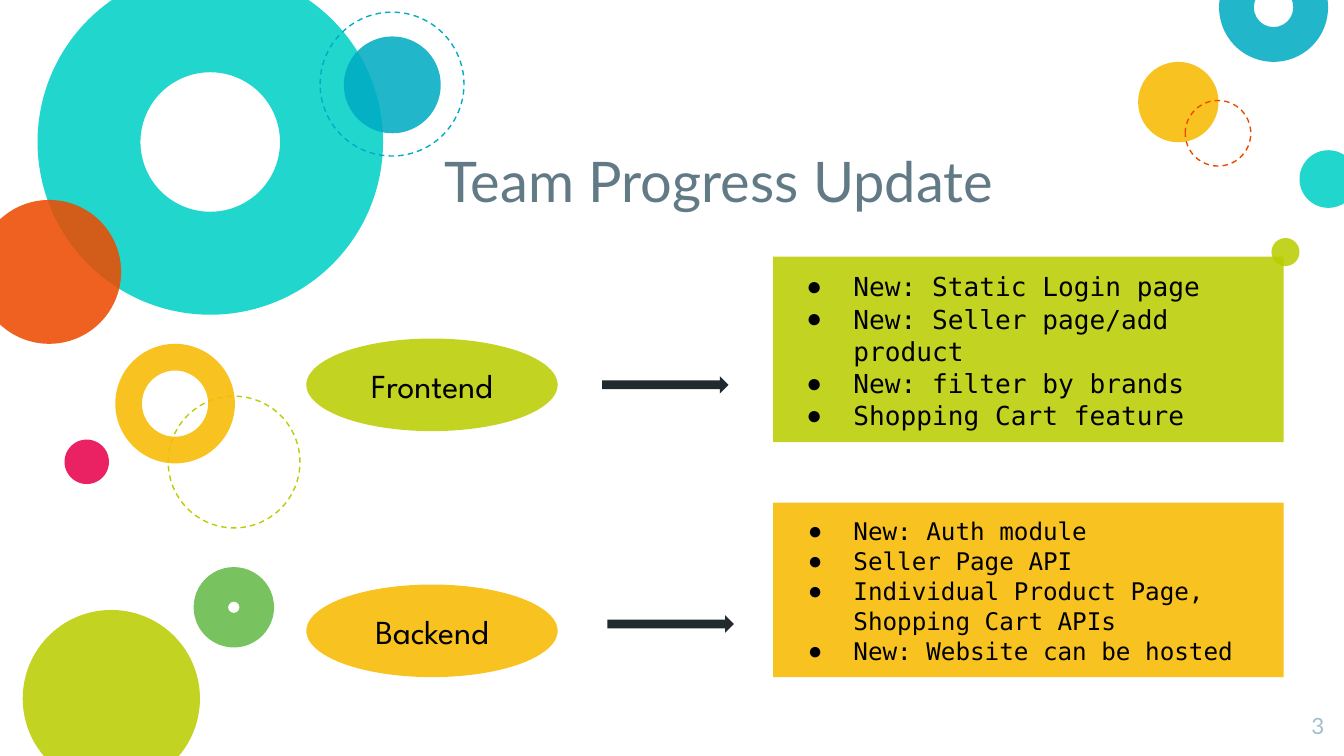
from lxml import etree
from pptx import Presentation
from pptx.dml.color import RGBColor
from pptx.enum import dml, shapes, text
from pptx.oxml.ns import qn
from pptx.util import Cm, Pt

TEAL, ORANGE, BLUE, YELLOW, LIME = "00D1C6", "ED4A00", "00ACC3", "F8BB00", "BBCD00"
GREEN, PINK, INK, BLACK = "65BB48", "E8004C", "212A2E", "000000"
INSET = Cm(0.25)


def paint(fill, colour, opacity=87):
    fill.solid()
    fill.fore_color.rgb = RGBColor.from_string(colour)
    if opacity < 100:
        solid = fill._xPr.find(qn("a:solidFill"))
        etree.SubElement(solid[0], qn("a:alpha"), val=str(opacity * 1000))


def write(para, words, font, size, colour):
    span = para.add_run()
    span.text = words
    span.font.name, span.font.size = font, Pt(size)
    span.font.color.rgb = RGBColor.from_string(colour)


deck = Presentation()
deck.slide_width, deck.slide_height = Cm(25.4), Cm(14.29)
page = deck.slides.add_slide(deck.slide_layouts[3])  # title and two lists
title, *lists = page.placeholders

# Decorative circles: left, top, diameter, colour, then ring thickness or "dash"
circles = [
    (3.18, 7.49, 2.49, LIME, "dash"),
    (0.71, -0.58, 6.53, TEAL, 0.298),
    (-0.43, 3.78, 2.72, ORANGE, None),
    (6.5, 0.69, 1.83, BLUE, None),
    (2.18, 6.5, 2.26, YELLOW, 0.223),
    (0.43, 11.53, 3.35, LIME, None),
    (3.66, 10.72, 1.52, GREEN, 0.429),
    (1.22, 8.31, 0.84, PINK, None),
    (21.51, 1.17, 1.52, YELLOW, None),
    (24.56, 2.84, 1.09, TEAL, None),
    (23.04, -0.89, 2.06, BLUE, 0.319),
    (24.03, 4.5, 0.53, LIME, None),
    (6.05, 0.23, 2.72, BLUE, "dash"),
    (22.4, 1.9, 1.24, ORANGE, "dash"),
]
for left, top, diameter, colour, style in circles:
    ring = isinstance(style, float)
    kind = shapes.MSO_SHAPE.DONUT if ring else shapes.MSO_SHAPE.OVAL
    circle = page.shapes.add_shape(kind, Cm(left), Cm(top), Cm(diameter), Cm(diameter))
    circle.shadow.inherit = False
    if ring:
        circle.adjustments[0] = style
    if style == "dash":
        circle.fill.background()
        circle.line.color.rgb = RGBColor.from_string(colour)
        circle.line.width = Pt(0.75)
        circle.line.dash_style = dml.MSO_LINE.DASH
    else:
        paint(circle.fill, colour)
        circle.line.fill.background()

# Title
title.left, title.top, title.width, title.height = Cm(8.15), Cm(2.51), Cm(14.66), Cm(1.78)
frame = title.text_frame
frame.auto_size = text.MSO_AUTO_SIZE.NONE
frame.vertical_anchor = text.MSO_ANCHOR.BOTTOM
frame.paragraphs[0].alignment = text.PP_ALIGN.LEFT
write(frame.paragraphs[0], "Team Progress Update", "Lato", 30, "617A86")

# Slide number
number = page.shapes.add_textbox(Cm(23.98), Cm(13.21), Cm(1.3), Cm(1.09))
number.text_frame.word_wrap = True
number.text_frame.paragraphs[0].alignment = text.PP_ALIGN.RIGHT
write(number.text_frame.paragraphs[0], "3", "Lato", 12, "A1BECC")

# Teams: name, colour, oval top, arrow left and top, list top and height, size, hang, items
teams = [
    ("Frontend", LIME, 6.4, 11.38, 7.11, 4.85, 3.51, 14, 0.89,
     ["New: Static Login page", "New: Seller page/add product",
      "New: filter by brands", "Shopping Cart feature"]),
    ("Backend", YELLOW, 11.05, 11.48, 11.63, 9.5, 3.3, 13, 0.86,
     ["New: Auth module", "Seller Page API",
      "Individual Product Page, Shopping Cart APIs", "New: Website can be hosted"]),
]
for box, team in zip(lists, teams):
    name, colour, oval_top, arrow_left, arrow_top, top, height, size, hang, items = team

    oval = page.shapes.add_shape(shapes.MSO_SHAPE.OVAL, Cm(5.79), Cm(oval_top), Cm(4.75), Cm(1.75))
    arrow = page.shapes.add_shape(
        shapes.MSO_SHAPE.RIGHT_ARROW, Cm(arrow_left), Cm(arrow_top), Cm(2.39), Cm(0.33))
    for shape, shade, opacity in ((oval, colour, 87), (arrow, INK, 100)):
        shape.shadow.inherit = False
        shape.line.fill.background()
        paint(shape.fill, shade, opacity)
    oval.text_frame.vertical_anchor = text.MSO_ANCHOR.MIDDLE
    oval.text_frame.paragraphs[0].alignment = text.PP_ALIGN.CENTER
    write(oval.text_frame.paragraphs[0], name, "League Spartan", 18, BLACK)

    box.left, box.top, box.width, box.height = Cm(14.61), Cm(top), Cm(9.65), Cm(height)
    paint(box.fill, colour)
    page.shapes._spTree.append(box._element)  # in front of the circles
    frame = box.text_frame
    frame.auto_size = text.MSO_AUTO_SIZE.NONE
    frame.vertical_anchor = text.MSO_ANCHOR.TOP
    for index, item in enumerate(items):
        para = frame.add_paragraph() if index else frame.paragraphs[0]
        para.space_before = Pt(0)
        para.line_spacing = 1.03
        write(para, item, "DejaVu Sans Mono", size, BLACK)
        properties = para._p.get_or_add_pPr()
        properties.set("marL", str(Cm(1.27)))
        properties.set("indent", str(-Cm(hang)))
        bullet_colour = etree.SubElement(properties, qn("a:buClr"))
        etree.SubElement(bullet_colour, qn("a:srgbClr"), val=BLACK)
        etree.SubElement(properties, qn("a:buChar"), char="●")

for shape in page.shapes:
    if shape.has_text_frame and shape.text_frame.text:
        frame = shape.text_frame
        frame.margin_left = frame.margin_right = INSET
        frame.margin_top = frame.margin_bottom = INSET

deck.save("out.pptx")
